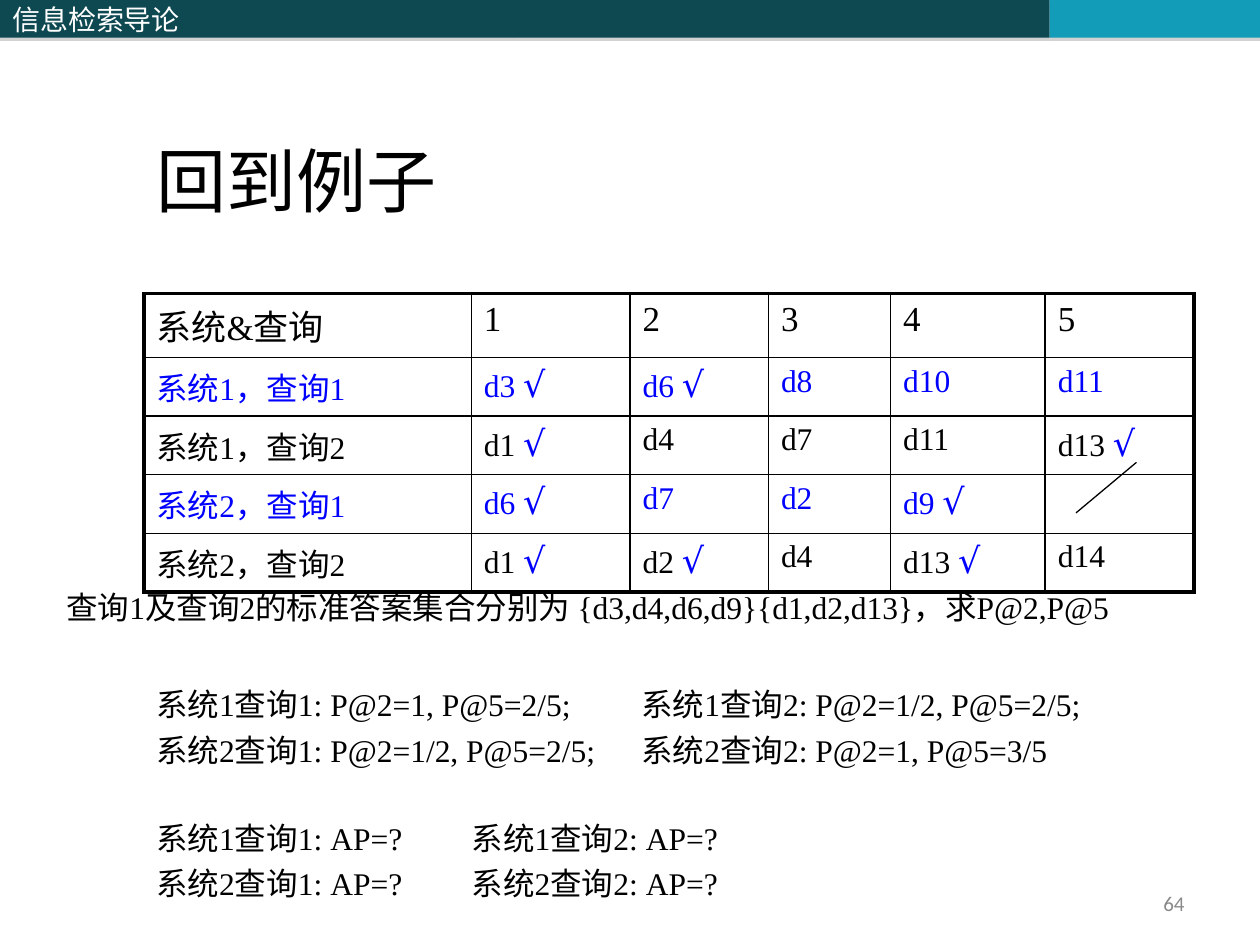
from dataclasses import dataclass
from typing import Any

import lxml.etree
import pptx
import pptx.dml.color
import pptx.enum.shapes
import pptx.enum.text
import pptx.oxml.ns
import pptx.util

Cm = pptx.util.Cm
Pt = pptx.util.Pt
Align = pptx.enum.text.PP_ALIGN
Anchor = pptx.enum.text.MSO_ANCHOR


@dataclass(frozen=True)
class Theme:
    dark: str = "0E4851"
    accent: str = "139CB7"
    white: str = "FFFFFF"
    black: str = "000000"
    blue: str = "0000FF"
    grey: str = "898989"
    shadow: str = "808080"
    latin: str = "Times New Roman"
    cjk: str = "Noto Sans CJK SC"
    mark: str = "Cabin"
    number: str = "Calibri"
    title: int = 40
    head: int = 20
    body: int = 18
    header: int = 16
    small: int = 12
    thin: float = 1
    thick: float = 2.25


T = Theme()


@dataclass(frozen=True)
class Box:
    x: float
    y: float
    w: float
    h: float

    def lengths(self) -> tuple:
        return Cm(self.x), Cm(self.y), Cm(self.w), Cm(self.h)


@dataclass(frozen=True)
class Band:
    box: Box
    fill: str
    text: str = ""


@dataclass(frozen=True)
class Note:
    box: Box
    lines: tuple[str, ...]
    tab: float = 0


BANDS = (
    Band(Box(0, 0, 10.36, 0.76), T.dark, "信息检索导论"),
    Band(Box(10.36, 0, 10.8, 0.76), T.dark),
    Band(Box(21.16, 0, 4.24, 0.76), T.accent),
)
TITLE = Box(2.9, 1.42, 19.13, 3.18)
NUMBER = Box(18.85, 17.58, 5.28, 1.27)
NOTES = (
    Note(Box(1.09, 11.73, 23.7, 1.02),
         ("查询1及查询2的标准答案集合分别为 {d3,d4,d6,d9}{d1,d2,d13}，求P@2,P@5",)),
    Note(Box(2.9, 13.69, 20.6, 2.16),
         ("系统1查询1: P@2=1, P@5=2/5;\t系统1查询2: P@2=1/2, P@5=2/5;",
          "系统2查询1: P@2=1/2, P@5=2/5;\t系统2查询2: P@2=1, P@5=3/5"), 9.78),
    Note(Box(2.9, 16.38, 20.6, 2.16),
         ("系统1查询1: AP=?\t系统1查询2: AP=?",
          "系统2查询1: AP=?\t系统2查询2: AP=?"), 6.36),
)
TABLE_X, TABLE_Y = 2.9, 5.92
COLUMNS = (6.6, 3.2, 2.79, 2.46, 3.12, 3.0)
HEAD_HEIGHT, ROW_HEIGHT = 1.29, 1.18
ROWS = (
    ("系统&查询", "1", "2", "3", "4", "5"),
    ("系统1，查询1", "d3 √", "d6 √", "d8", "d10", "d11"),
    ("系统1，查询2", "d1 √", "d4", "d7", "d11", "d13 √"),
    ("系统2，查询1", "d6 √", "d7", "d2", "d9 √", ""),
    ("系统2，查询2", "d1 √", "d2 √", "d4", "d13 √", "d14"),
)


def rgb(color: str) -> Any:
    return pptx.dml.color.RGBColor.from_string(color)


def child(parent: Any, tag: str, **attrs: Any) -> Any:
    return lxml.etree.SubElement(parent, pptx.oxml.ns.qn(tag),
                                 {k: str(v) for k, v in attrs.items()})


def write(p: Any, text: str, *, size: int = T.body, color: str = T.black,
          font: str = T.latin, align: Any = Align.LEFT) -> None:
    p.alignment = align
    r = p.add_run()
    r.text = text
    r.font.size = Pt(size)
    r.font.bold = False
    r.font.color.rgb = rgb(color)
    r.font.name = font
    child(r.font._element, "a:ea", typeface=T.cjk)


def add_band(s: Any, band: Band) -> None:
    sp = s.shapes.add_shape(pptx.enum.shapes.MSO_SHAPE.RECTANGLE, *band.box.lengths())
    sp.fill.solid()
    sp.fill.fore_color.rgb = rgb(band.fill)
    sp.line.fill.background()
    effects = child(sp._element.spPr, "a:effectLst")
    shadow = child(effects, "a:outerShdw", blurRad=0, dist=Pt(1.8), dir=5400000,
                   algn="t", rotWithShape=0)
    child(child(shadow, "a:srgbClr", val=T.shadow), "a:alpha", val=35000)
    if band.text:
        tf = sp.text_frame
        tf.vertical_anchor = Anchor.MIDDLE
        write(tf.paragraphs[0], band.text, size=T.header, color=T.white, font=T.cjk)


def add_title(s: Any) -> None:
    sp = s.shapes.title
    sp.left, sp.top, sp.width, sp.height = TITLE.lengths()
    tf = sp.text_frame
    tf.auto_size = pptx.enum.text.MSO_AUTO_SIZE.NONE
    tf.vertical_anchor = Anchor.BOTTOM
    write(tf.paragraphs[0], "回到例子", size=T.title)


def add_text(s: Any, box: Box) -> Any:
    tf = s.shapes.add_textbox(*box.lengths()).text_frame
    tf.word_wrap = True
    return tf


def add_note(s: Any, note: Note) -> None:
    tf = add_text(s, note.box)
    for i, line in enumerate(note.lines):
        p = tf.add_paragraph() if i else tf.paragraphs[0]
        if i:
            p.space_before = Pt(4.5)
        write(p, line)
        if note.tab:
            tabs = child(p._p.get_or_add_pPr(), "a:tabLst")
            child(tabs, "a:tab", pos=Cm(note.tab), algn="l")


def add_border(cell: Any, side: str, width: float) -> None:
    ln = child(cell._tc.get_or_add_tcPr(), f"a:ln{side}", w=Pt(width))
    child(child(ln, "a:solidFill"), "a:srgbClr", val=T.black)


def add_results(s: Any) -> None:
    last_row, last_col = len(ROWS) - 1, len(COLUMNS) - 1
    heights = (HEAD_HEIGHT,) + (ROW_HEIGHT,) * last_row
    box = Box(TABLE_X, TABLE_Y, sum(COLUMNS), sum(heights))
    table = s.shapes.add_table(len(ROWS), len(COLUMNS), *box.lengths()).table
    table.first_row = table.horz_banding = False
    for column, width in zip(table.columns, COLUMNS):
        column.width = Cm(width)
    for i, (height, values) in enumerate(zip(heights, ROWS)):
        table.rows[i].height = Cm(height)
        for j, value in enumerate(values):
            cell = table.cell(i, j)
            outer = {"L": j == 0, "R": j == last_col, "T": i == 0, "B": i == last_row}
            for side, edge in outer.items():
                add_border(cell, side, T.thick if edge else T.thin)
            cell.fill.background()
            label, mark, _ = value.partition("√")
            p = cell.text_frame.paragraphs[0]
            if label:
                write(p, label, size=T.body if i else T.head,
                      color=T.blue if i % 2 else T.black)
            if mark:
                write(p, mark, size=T.head, color=T.blue, font=T.mark)


def add_slash(s: Any) -> None:
    line = s.shapes.add_connector(pptx.enum.shapes.MSO_CONNECTOR.STRAIGHT,
                                  Cm(22.91), Cm(9.32), Cm(21.69), Cm(10.34))
    line.line.color.rgb = rgb(T.black)
    line.line.width = Pt(0.75)
    child(line._element.spPr, "a:effectLst")


def main() -> None:
    prs = pptx.Presentation()
    prs.slide_width, prs.slide_height = Cm(25.4), Cm(19.05)
    s = prs.slides.add_slide(prs.slide_layouts[5])
    for band in BANDS:
        add_band(s, band)
    add_title(s)
    add_results(s)
    tf = add_text(s, NUMBER)
    tf.vertical_anchor = Anchor.MIDDLE
    write(tf.paragraphs[0], "64", size=T.small, color=T.grey, font=T.number,
          align=Align.RIGHT)
    for note in NOTES:
        add_note(s, note)
    add_slash(s)
    prs.save("out.pptx")


if __name__ == "__main__":
    main()
